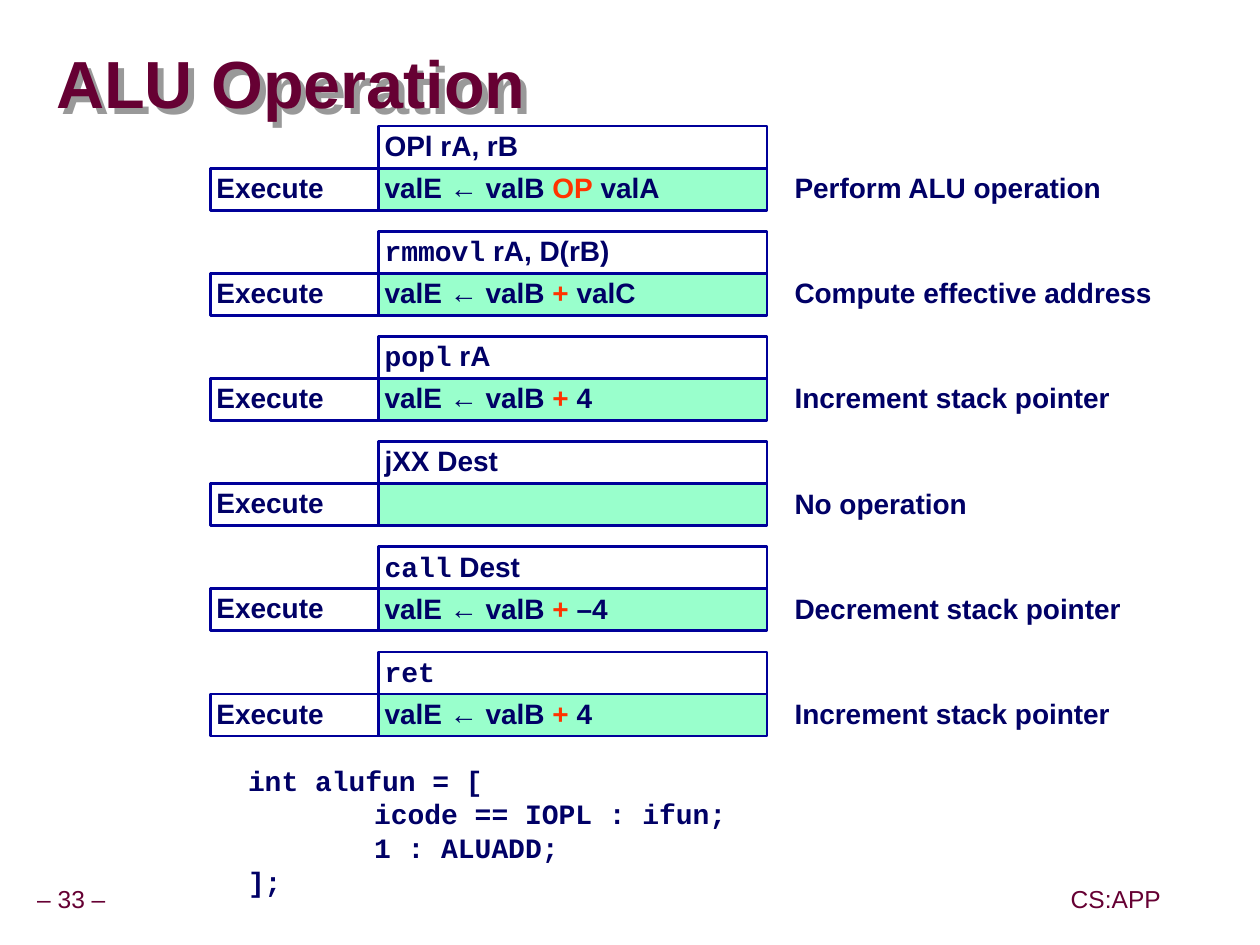
from lxml import etree
from pptx import Presentation
from pptx.dml.color import RGBColor
from pptx.enum import shapes, text
from pptx.oxml import ns
from pptx.util import Pt

MAROON = RGBColor(0x66, 0x00, 0x33)
NAVY = RGBColor(0x00, 0x00, 0x66)
BLUE = RGBColor(0x00, 0x00, 0x99)
MINT = RGBColor(0x99, 0xFF, 0xCC)
RED = RGBColor(0xFF, 0x33, 0x00)
GREY = RGBColor(0x99, 0x99, 0x99)
SANS, MONO = "Arial", "Courier New"

STAGE_LEFT, CELL_LEFT, NOTE_LEFT = 120, 216, 450
STAGE_WIDTH, CELL_WIDTH = 96, 222
FIRST_TOP, ROW_HEIGHT, PITCH = 72, 24, 60

CODE_LINES = ["int alufun = [", "\ticode == IOPL : ifun;", "\t1 : ALUADD;", "];"]


def mono(words):
    return words, {"font": MONO}


def alu(operator, operand):
    """Spans of an assignment to valE, with the operator in red."""
    return ["valE ← valB ", (operator, {"color": RED}), " " + operand]


# Instruction, execute step, comment
OPERATIONS = [
    (["OPl rA, rB"], alu("OP", "valA"), "Perform ALU operation"),
    ([mono("rmmovl"), " rA, D(rB)"], alu("+", "valC"), "Compute effective address"),
    ([mono("popl"), " rA"], alu("+", "4"), "Increment stack pointer"),
    (["jXX Dest"], [], "No operation"),
    ([mono("call"), " Dest"], alu("+", "–4"), "Decrement stack pointer"),
    ([mono("ret")], alu("+", "4"), "Increment stack pointer"),
]


def add_span(para, words, size, color, font, bold):
    span = para.add_run()
    span.text = words
    span.font.size = Pt(size)
    span.font.name = font
    span.font.bold = bold
    span.font.color.rgb = color


def add_tab_stop(para, position):
    tabs = etree.SubElement(para._p.get_or_add_pPr(), ns.qn("a:tabLst"))
    etree.SubElement(tabs, ns.qn("a:tab"), pos=str(Pt(position)), algn="l")


def write(box, lines, size=16, color=NAVY, font=SANS, bold=True, spacing=0.9,
          inset=3.6, anchor=text.MSO_ANCHOR.TOP, align=text.PP_ALIGN.LEFT,
          wrap=True, tab=None):
    """Fill a box; a line is a list of strings or (string, overrides) pairs."""
    frame = box.text_frame
    frame.auto_size = text.MSO_AUTO_SIZE.NONE
    frame.word_wrap = wrap
    frame.vertical_anchor = anchor
    frame.margin_left = frame.margin_right = Pt(inset)
    frame.margin_top = frame.margin_bottom = Pt(inset)
    for index, line in enumerate(lines):
        para = frame.add_paragraph() if index else frame.paragraphs[0]
        para.alignment = align
        para.line_spacing = spacing
        para.space_before = Pt(0)
        if tab:
            add_tab_stop(para, tab)
        for part in line:
            words, changes = (part, {}) if isinstance(part, str) else part
            look = {"size": size, "color": color, "font": font, "bold": bold}
            add_span(para, words, **{**look, **changes})


def add_cell(page, left, top, width, line, fill=None, **look):
    cell = page.shapes.add_shape(shapes.MSO_SHAPE.RECTANGLE, Pt(left), Pt(top),
                                 Pt(width), Pt(ROW_HEIGHT))
    cell.shadow.inherit = False
    if fill is None:
        cell.fill.background()
    else:
        cell.fill.solid()
        cell.fill.fore_color.rgb = fill
    cell.line.color.rgb = BLUE
    cell.line.width = Pt(1.5)
    write(cell, [line], **look)


def add_label(page, left, top, width, height, lines, **look):
    box = page.shapes.add_textbox(Pt(left), Pt(top), Pt(width), Pt(height))
    write(box, lines, **look)


def add_footer(page, left, width, words):
    add_label(page, left, 503, width, 22, [[words]], size=14, color=MAROON,
              bold=False, anchor=text.MSO_ANCHOR.MIDDLE,
              align=text.PP_ALIGN.CENTER, wrap=False)


def add_drop_shadow(shape):
    effects = etree.SubElement(shape._element.spPr, ns.qn("a:effectLst"))
    shadow = etree.SubElement(effects, ns.qn("a:outerShdw"), dist=str(Pt(4.8)),
                              dir="2700000", algn="ctr", rotWithShape="0")
    etree.SubElement(shadow, ns.qn("a:srgbClr"), val=str(GREY))


def set_title(page, words):
    title = page.shapes.title
    title.left, title.top = Pt(32), Pt(19.5)
    title.width, title.height = Pt(685), Pt(61)
    write(title, [[words]], size=38, color=MAROON, spacing=0.87, inset=0,
          anchor=text.MSO_ANCHOR.MIDDLE)
    add_drop_shadow(title)


def add_operation(page, top, instruction, step, comment):
    step_top = top + ROW_HEIGHT
    add_cell(page, CELL_LEFT, top, CELL_WIDTH, instruction)
    add_cell(page, CELL_LEFT, step_top, CELL_WIDTH, step, fill=MINT)
    add_cell(page, STAGE_LEFT, step_top, STAGE_WIDTH, ["Execute"],
             anchor=text.MSO_ANCHOR.MIDDLE)
    add_label(page, NOTE_LEFT, step_top, CELL_WIDTH, ROW_HEIGHT, [[comment]])


def main():
    deck = Presentation()
    deck.slide_width, deck.slide_height = Pt(719.28), Pt(539.28)
    page = deck.slides.add_slide(deck.slide_layouts[5])
    set_title(page, "ALU Operation")
    for index, operation in enumerate(OPERATIONS):
        add_operation(page, FIRST_TOP + index * PITCH, *operation)
    add_label(page, 138, 432, 450, 84, [[line] for line in CODE_LINES],
              font=MONO, spacing=Pt(19.2), tab=72)
    add_footer(page, -6.5, 94.5, "– 33 –")
    add_footer(page, 607.5, 59, "CS:APP")
    deck.save("out.pptx")


if __name__ == "__main__":
    main()
